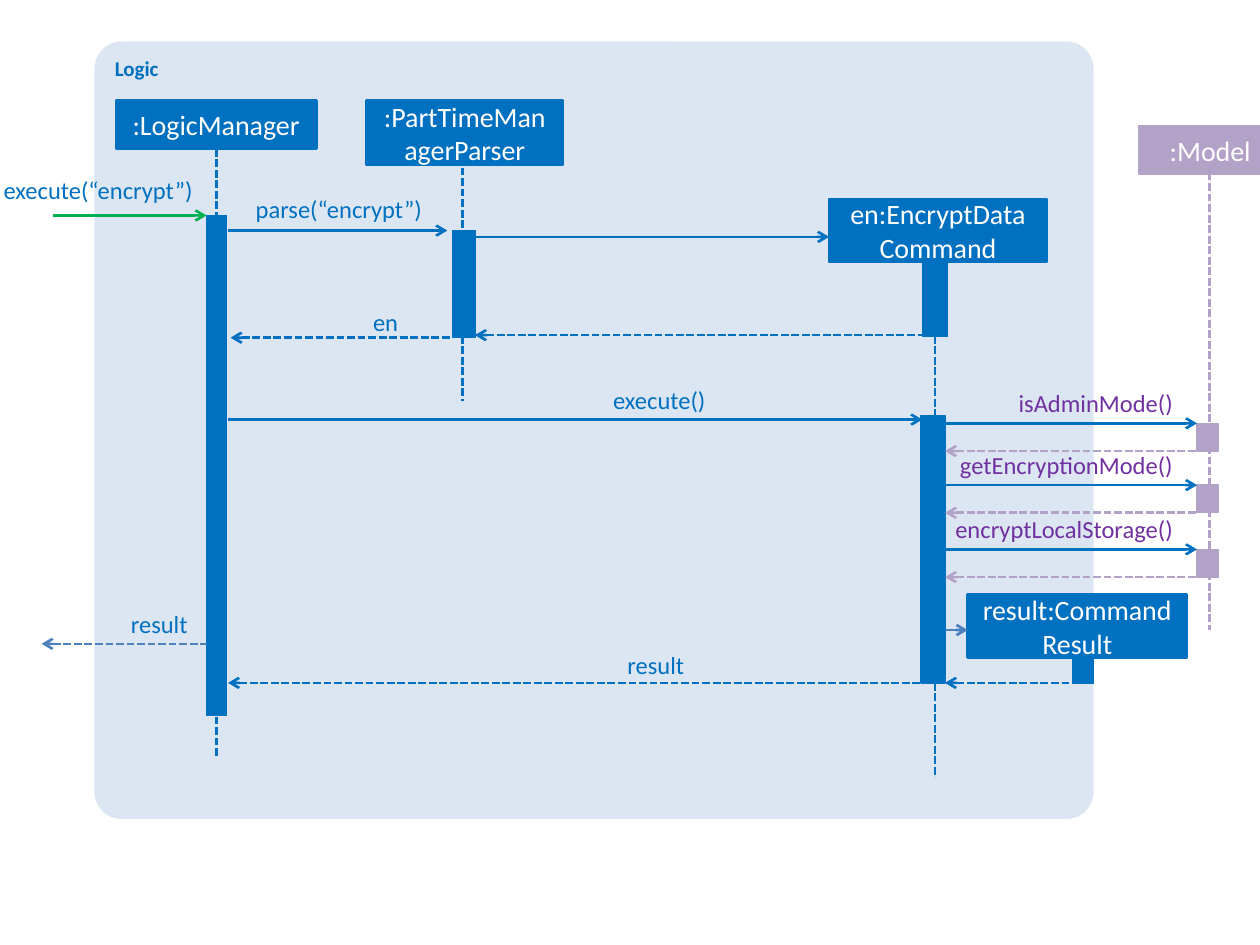
from dataclasses import dataclass

from lxml.etree import SubElement
from pptx import Presentation
from pptx.dml.color import RGBColor
from pptx.enum.dml import MSO_LINE
from pptx.enum.shapes import MSO_CONNECTOR, MSO_SHAPE
from pptx.enum.text import MSO_ANCHOR, PP_ALIGN
from pptx.oxml.ns import qn
from pptx.shapes.autoshape import Shape
from pptx.shapes.connector import Connector
from pptx.slide import Slide
from pptx.util import Inches, Pt

COLORS = {
    "panel": "DCE6F2",
    "logic": "0070C0",
    "model": "B3A2C7",
    "model_label": "7030A0",
    "entry": "00B050",
    "exit": "4F81BD",
    "create": "4B7EBC",
    "white": "FFFFFF",
}
FONT = "Calibri"


@dataclass
class Box:
    left: float
    top: float
    width: float
    height: float
    color: str = "logic"
    text: str = ""


@dataclass
class Lifeline:
    x: float
    top: float
    bottom: float
    color: str = "logic"


@dataclass
class Message:
    """A horizontal arrow; a reply is dashed and points left."""
    left: float
    right: float
    y: float
    reply: bool = False
    color: str = "logic"


@dataclass
class Label:
    text: str
    left: float
    top: float
    width: float
    align: PP_ALIGN = PP_ALIGN.RIGHT
    color: str = "logic"


PANEL = Box(0.75, 0.33, 7.93, 6.17, "panel", "Logic")
LIFELINES = [
    Lifeline(1.72, 1.18, 6),
    Lifeline(3.67, 1.33, 3.18),
    Lifeline(7.42, 2.08, 6.17),
    Lifeline(9.6, 1.37, 5, "model"),
]
PARTICIPANTS = [
    Box(0.92, 0.8, 1.59, 0.38, text=":LogicManager"),
    Box(2.91, 0.8, 1.56, 0.51, text=":PartTimeManagerParser"),
    Box(6.58, 1.58, 1.73, 0.5, text="en:EncryptData\nCommand"),
    Box(9.04, 1, 1.13, 0.38, "model", ":Model"),
    Box(7.68, 4.72, 1.74, 0.5, text="result:Command Result"),
]
ACTIVATIONS = [
    Box(1.64, 1.71, 0.16, 3.97),
    Box(3.59, 1.83, 0.18, 0.85),
    Box(7.32, 2.08, 0.2, 0.59),
    Box(7.31, 3.3, 0.19, 2.12),
    Box(8.51, 5.23, 0.17, 0.19),
]
MESSAGES = [
    Message(0.42, 1.64, 1.71, color="entry"),
    Message(1.81, 3.55, 1.83),
    Message(3.73, 6.58, 1.88),
    Message(3.77, 7.38, 2.66, reply=True),
    Message(1.83, 3.57, 2.68, reply=True),
    Message(1.81, 7.32, 3.33),
    Message(7.5, 7.68, 5, color="create"),
    Message(0.33, 1.64, 5.11, reply=True, color="exit"),
    Message(1.81, 7.33, 5.42, reply=True),
    Message(7.5, 8.56, 5.42, reply=True),
]
LABELS = [
    Label("execute(“encrypt”)", 0, 1.39, 1.56, PP_ALIGN.CENTER),
    Label("parse(“encrypt”)", 1.91, 1.54, 1.56, PP_ALIGN.CENTER),
    Label("en", 2.92, 2.44, 0.24),
    Label("execute()", 4.66, 3.06, 0.94),
    Label("result", 0.66, 4.83, 0.83),
    Label("result", 4.75, 5.16, 0.68),
]
MODEL_CALLS = {"isAdminMode()": 3.36, "getEncryptionMode()": 3.85, "encryptLocalStorage()": 4.36}
CALL_LEFT, CALL_RIGHT, CALL_HEIGHT = 7.5, 9.5, 0.22


def rgb(name: str) -> RGBColor:
    return RGBColor.from_string(COLORS[name])


def write_text(shape: Shape, text: str, size: float, color: str,
               align: PP_ALIGN, bold: bool = False) -> None:
    shape.text_frame.word_wrap = True
    paragraph = shape.text_frame.paragraphs[0]
    paragraph.text = text
    paragraph.alignment = align
    paragraph.font.name = FONT
    paragraph.font.size = Pt(size)
    paragraph.font.bold = bold
    paragraph.font.color.rgb = rgb(color)


def add_box(slide: Slide, box: Box, line_width: float = 0,
            preset: MSO_SHAPE = MSO_SHAPE.RECTANGLE) -> Shape:
    shape = slide.shapes.add_shape(preset, Inches(box.left), Inches(box.top),
                                   Inches(box.width), Inches(box.height))
    shape.shadow.inherit = False
    shape.fill.solid()
    shape.fill.fore_color.rgb = rgb(box.color)
    if line_width:
        shape.line.color.rgb = rgb(box.color)
        shape.line.width = Pt(line_width)
    else:
        shape.line.fill.background()
    return shape


def add_panel(slide: Slide) -> None:
    shape = add_box(slide, PANEL, preset=MSO_SHAPE.ROUNDED_RECTANGLE)
    shape.adjustments[0] = 0.035
    shape.text_frame.vertical_anchor = MSO_ANCHOR.TOP
    write_text(shape, PANEL.text, 12, "logic", PP_ALIGN.LEFT, bold=True)


def add_participant(slide: Slide, box: Box) -> None:
    shape = add_box(slide, box, 1.5)
    shape.text_frame.vertical_anchor = MSO_ANCHOR.MIDDLE
    write_text(shape, box.text, 16, "white", PP_ALIGN.CENTER)


def add_line(slide: Slide, x1: float, y1: float, x2: float, y2: float,
             color: str, dashed: bool) -> Connector:
    connector = slide.shapes.add_connector(MSO_CONNECTOR.STRAIGHT, Inches(x1), Inches(y1),
                                           Inches(x2), Inches(y2))
    connector.line.color.rgb = rgb(color)
    connector.line.width = Pt(1.5)
    if dashed:
        connector.line.dash_style = MSO_LINE.SQUARE_DOT
    SubElement(connector._element.spPr, qn("a:effectLst"))
    return connector


def add_message(slide: Slide, message: Message) -> None:
    connector = add_line(slide, message.left, message.y, message.right, message.y,
                         message.color, message.reply)
    end = "a:headEnd" if message.reply else "a:tailEnd"
    SubElement(connector.line._get_or_add_ln(), qn(end), type="arrow")


def add_label(slide: Slide, label: Label) -> None:
    shape = slide.shapes.add_textbox(Inches(label.left), Inches(label.top),
                                     Inches(label.width), Inches(0.24))
    frame = shape.text_frame
    frame.margin_left = frame.margin_right = frame.margin_top = frame.margin_bottom = 0
    write_text(shape, label.text, 14, label.color, label.align)


def add_model_call(slide: Slide, name: str, top: float) -> None:
    add_box(slide, Box(CALL_RIGHT, top, 0.17, CALL_HEIGHT, "model"), 0.75)
    add_message(slide, Message(CALL_LEFT, CALL_RIGHT, top))
    add_message(slide, Message(CALL_LEFT, CALL_RIGHT, top + CALL_HEIGHT, True, "model"))
    add_label(slide, Label(name, 7.54, top - 0.28, 1.77, color="model_label"))


def main() -> None:
    presentation = Presentation()
    presentation.slide_width, presentation.slide_height = Inches(10), Inches(7.5)
    slide = presentation.slides.add_slide(presentation.slide_layouts[6])
    add_panel(slide)
    for lifeline in LIFELINES:
        add_line(slide, lifeline.x, lifeline.top, lifeline.x, lifeline.bottom,
                 lifeline.color, dashed=True)
    for participant in PARTICIPANTS:
        add_participant(slide, participant)
    for activation in ACTIVATIONS:
        add_box(slide, activation, 0.75)
    for message in MESSAGES:
        add_message(slide, message)
    for name, top in MODEL_CALLS.items():
        add_model_call(slide, name, top)
    for label in LABELS:
        add_label(slide, label)
    presentation.save("out.pptx")


if __name__ == "__main__":
    main()
